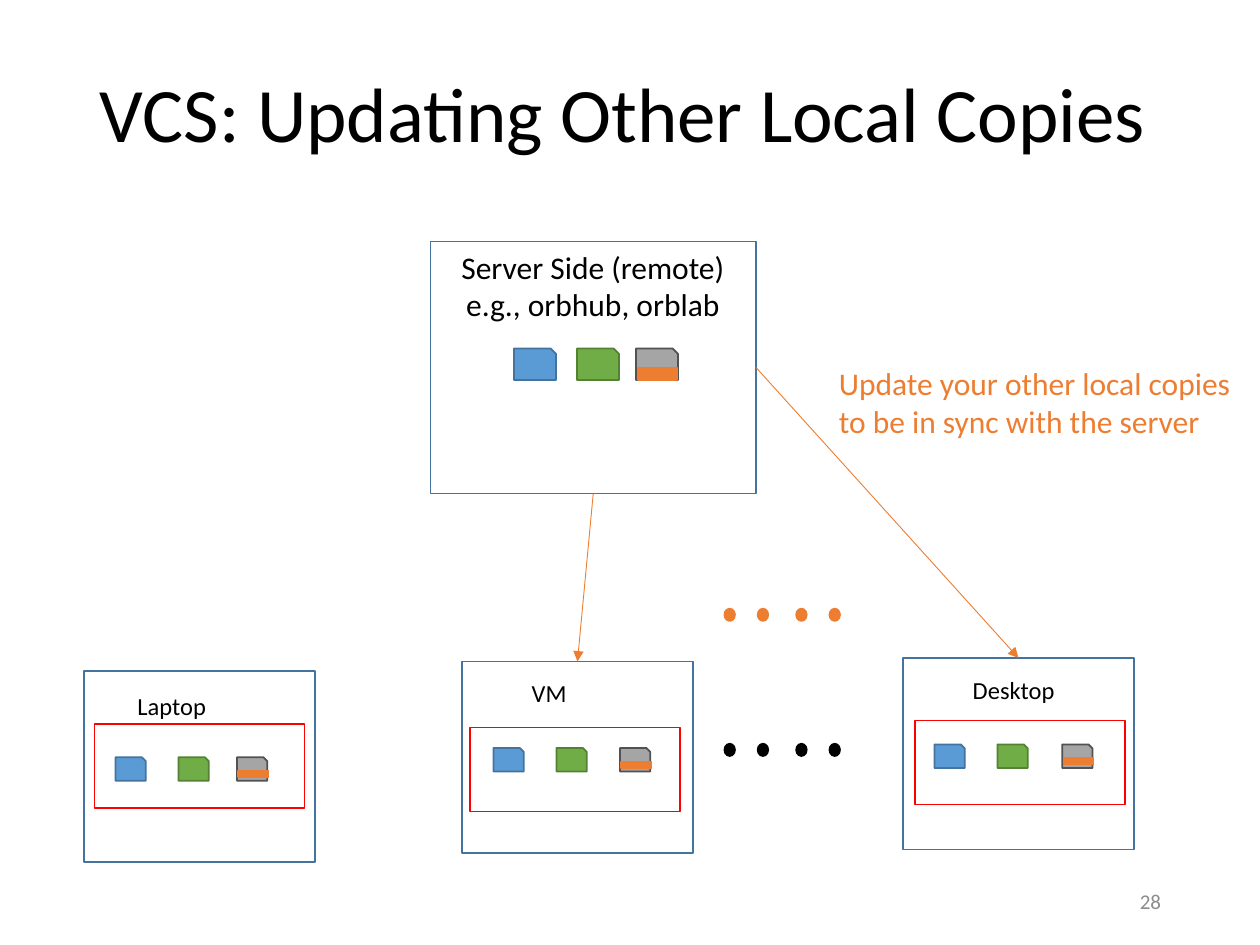
from lxml import etree
from pptx import Presentation
from pptx.dml.color import RGBColor
from pptx.enum import shapes, text
from pptx.oxml import ns
from pptx.util import Pt

BLUE, EDGE, ORANGE, BLACK, RED = "5B9BD5", "43739E", "ED7D31", "000000", "FF0000"
FILES = [(BLUE, EDGE), ("70AD47", "548235"), ("A5A5A5", "525252")]
KIND = shapes.MSO_SHAPE
ALIGN = text.PP_ALIGN


def color(code):
    return RGBColor.from_string(code)


def shape(slide, kind, x, y, w, h, fill=None, line=EDGE):
    item = slide.shapes.add_shape(kind, Pt(x), Pt(y), Pt(w), Pt(h))
    item.shadow.inherit = False
    if fill:
        item.fill.solid()
        item.fill.fore_color.rgb = color(fill)
    else:
        item.fill.background()
    item.line.color.rgb = color(line)
    item.line.width = Pt(1)
    return item


def write(slide, words, x, y, w, h, size=18, ink=BLACK, align=ALIGN.LEFT,
          anchor=text.MSO_ANCHOR.TOP, space=1.0):
    frame = slide.shapes.add_textbox(Pt(x), Pt(y), Pt(w), Pt(h)).text_frame
    frame.word_wrap = True
    frame.vertical_anchor = anchor
    frame.text = words
    for para in frame.paragraphs:
        para.alignment = align
        para.line_spacing = space
        para.font.name = "Calibri"
        para.font.size = Pt(size)
        para.font.color.rgb = color(ink)


def files(slide, x, y, w, h, steps, bar):
    for step, (fill, line) in zip(steps, FILES):
        shape(slide, KIND.SNIP_1_RECTANGLE, x + step, y, w, h, fill, line)
    dx, dy, bw, bh = bar
    shape(slide, KIND.RECTANGLE, x + steps[-1] + dx, y + dy, bw, bh, ORANGE, ORANGE)


def server(slide, x, y, w, h):
    box = shape(slide, KIND.RECTANGLE, x, y, w, h)
    files(slide, x + 47.7, y + 61.2, 24, 18, (0, 36, 69.7), (1, 10.8, 22.5, 7.2))
    write(slide, "Server Side (remote)\ne.g., orbhub, orblab", x + 5, y, 175.7, 51,
          align=ALIGN.CENTER)
    return box


def client(slide, name, x, y, w, h, label, last, frame):
    box = shape(slide, KIND.RECTANGLE, x, y, w, h)
    write(slide, name, x + label[0], y + label[1], 81, 24.5, size=14)
    files(slide, x + 18, y + 49.4, 17.3, 13.5, (0, 36, last), (0.7, 7.9, 17.3, 3.6))
    shape(slide, KIND.RECTANGLE, x + frame[0], y + frame[1], 120, 48, line=RED)
    return box


def dots(slide, x, y, ink):
    for step in (0, 19, 41, 60):
        shape(slide, KIND.OVAL, x + step, y, 6, 7, ink, ink)


def arrow(slide, start, end):
    link = slide.shapes.add_connector(shapes.MSO_CONNECTOR.STRAIGHT, 0, 0, 0, 0)
    link.begin_connect(*start)
    link.end_connect(*end)
    link.line.color.rgb = color(ORANGE)
    link.line.width = Pt(0.5)
    etree.SubElement(link.line._get_or_add_ln(), ns.qn("a:tailEnd"), type="triangle")
    etree.SubElement(link._element.spPr, ns.qn("a:effectLst"))


def main():
    deck = Presentation()
    deck.slide_width, deck.slide_height = Pt(720), Pt(540)
    slide = deck.slides.add_slide(deck.slide_layouts[6])
    mid = text.MSO_ANCHOR.MIDDLE
    write(slide, "VCS: Updating Other Local Copies", 50, 15, 621, 104.5,
          size=44, anchor=mid, space=0.9)
    write(slide, "28", 508.5, 500.5, 162, 28.7, size=12, ink="8C8C8C",
          align=ALIGN.RIGHT, anchor=mid)
    hub = server(slide, 246, 138, 186, 144)
    client(slide, "Laptop", 48, 383.3, 132, 109.5, (23.4, 8.2), 69.5, (6, 30.4))
    vm = client(slide, "VM", 264, 378, 132, 109.5, (32.8, 6), 72.3, (4.5, 37.7))
    desk = client(slide, "Desktop", 516, 376, 132, 109.5, (32.8, 6.2), 73, (6.7, 35.8))
    dots(slide, 414, 347.8, ORANGE)
    dots(slide, 414, 425, BLACK)
    write(slide, "Update your other local copies to be in sync with the server",
          472.3, 204.3, 240, 51, ink=ORANGE)
    arrow(slide, (hub, 2), (vm, 0))
    arrow(slide, (hub, 3), (desk, 0))
    deck.save("out.pptx")


if __name__ == "__main__":
    main()
